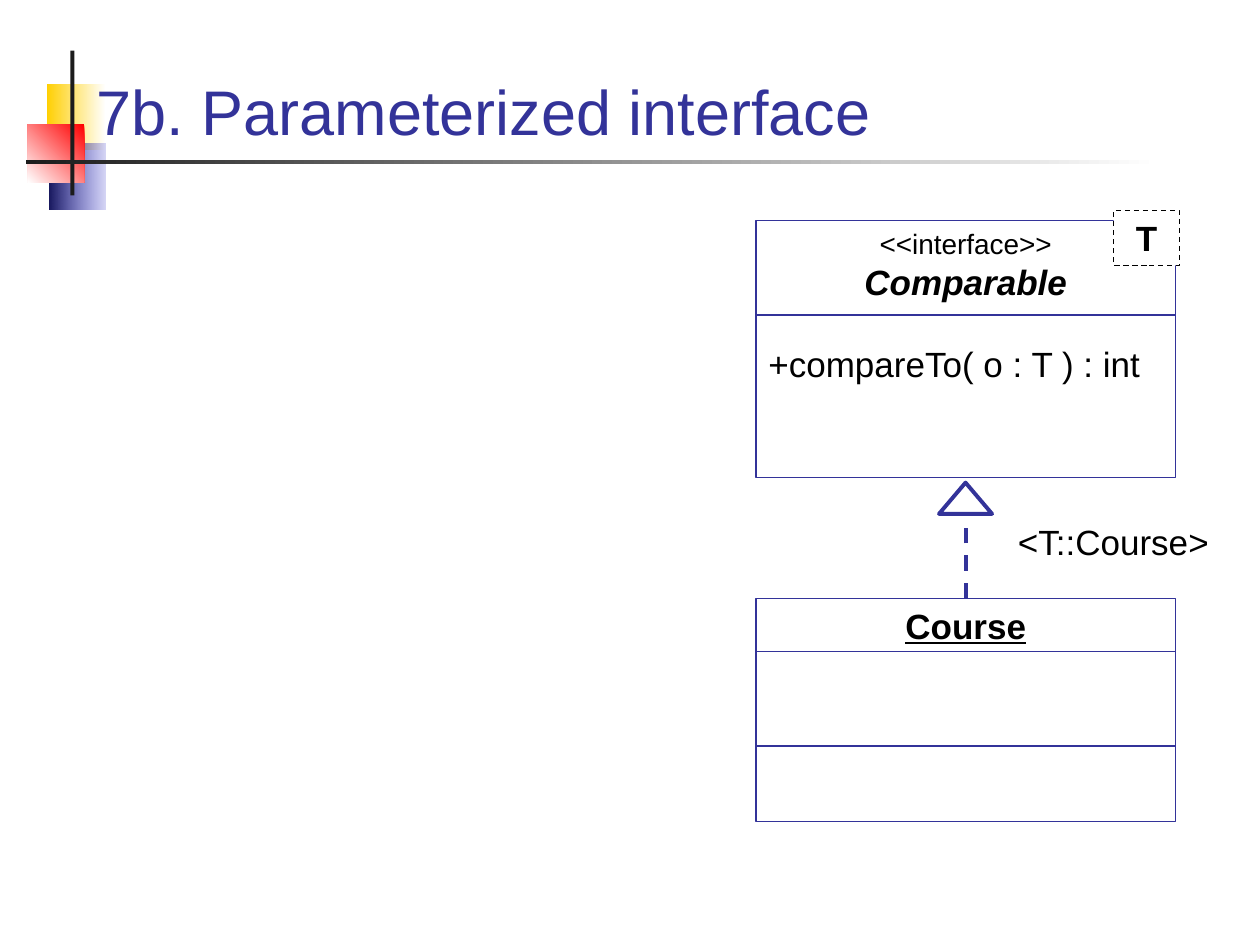
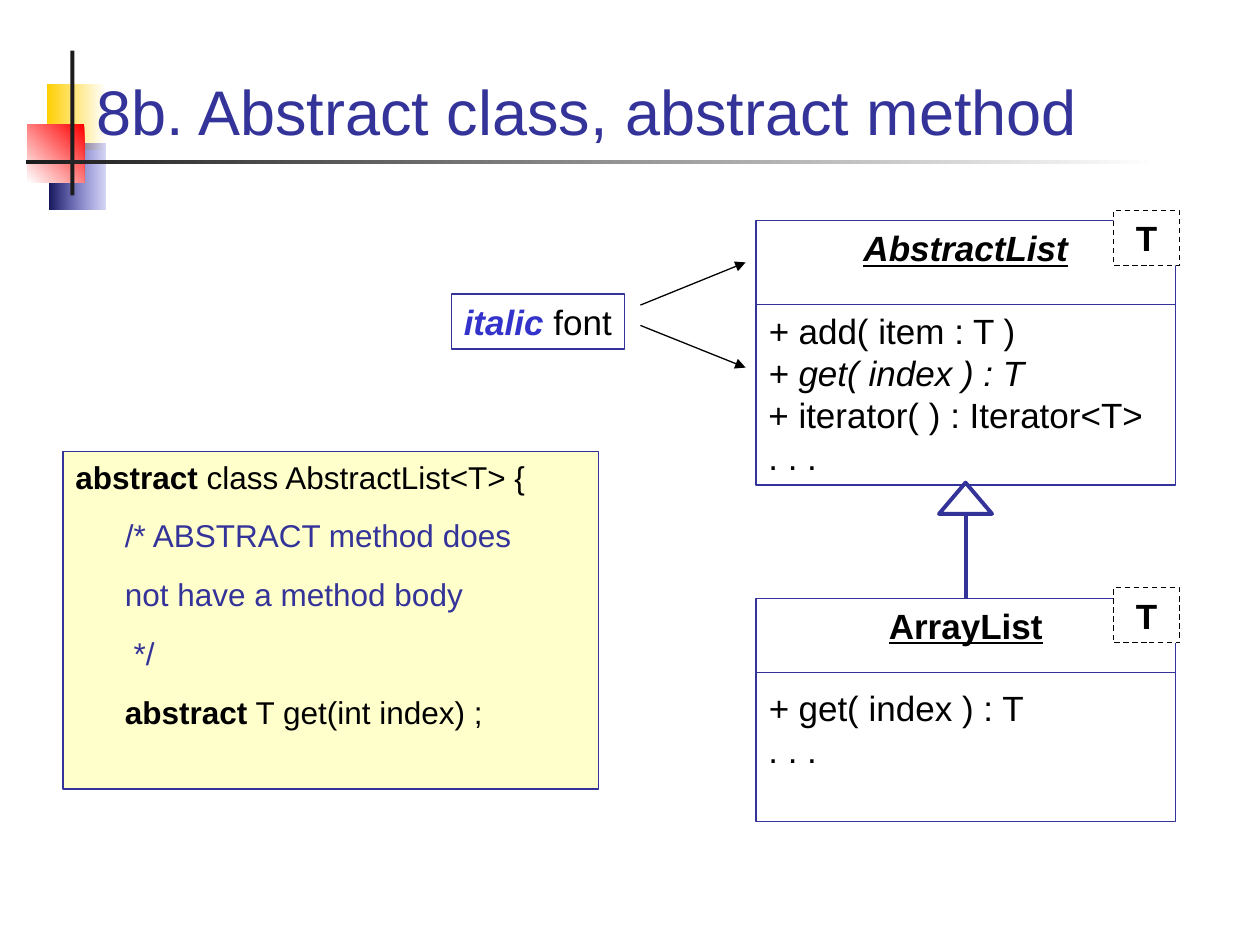
from lxml import etree
from pptx import Presentation
from pptx import util as u
from pptx.dml.color import RGBColor
from pptx.enum import dml, shapes, text
from pptx.oxml.ns import qn

Cm, Pt = u.Cm, u.Pt
COLORS = {
    "ink": "000000", "white": "FFFFFF", "indigo": "333399", "blue": "3333CC",
    "navy": "17175E", "yellow": "FFCF01", "red": "FF0000", "bar": "1C1C1C",
    "cream": "FFFFCC",
}
C = {name: RGBColor.from_string(value) for name, value in COLORS.items()}
FONT = "Arial"
CLASS_X, CLASS_W = 15.24, 8.46
PARENT_Y, CHILD_Y, CHILD_H = 4.45, 12.06, 4.5
BLANK_LINE = 23
LEFT, CENTER = text.PP_ALIGN.LEFT, text.PP_ALIGN.CENTER


def add_box(s, at, paras=(), size=20, line="indigo", fill=None, wrap=True):
    """Add a rectangle; paras holds (runs, align, space before, indent),
    each run being (text, letters out of "biu", colour)."""
    sp = s.shapes.add_shape(shapes.MSO_SHAPE.RECTANGLE, *map(Cm, at))
    sp.shadow.inherit = False
    if fill:
        sp.fill.solid()
        sp.fill.fore_color.rgb = C[fill]
    else:
        sp.fill.background()
    if line:
        sp.line.color.rgb = C[line]
        sp.line.width = Pt(0.75)
    else:
        sp.line.fill.background()
    tf = sp.text_frame
    tf.word_wrap = wrap
    tf.vertical_anchor = text.MSO_ANCHOR.TOP
    for i, (runs, align, before, indent) in enumerate(paras):
        p = tf.paragraphs[0] if i == 0 else tf.add_paragraph()
        p.alignment = align
        p.space_before = Pt(before)
        if indent:
            p._p.get_or_add_pPr().set("marL", str(Cm(indent)))
        p.font.name, p.font.size = FONT, Pt(size)
        for words, style, color in runs:
            r = p.add_run()
            r.text = words
            font = p.font if len(runs) == 1 else r.font
            font.bold, font.italic = "b" in style, "i" in style
            font.underline = "u" in style
            font.color.rgb = C[color]
    return sp


def add_line(s, x1, y1, x2, y2, color="indigo", width=0.75):
    ln = s.shapes.add_connector(shapes.MSO_CONNECTOR.STRAIGHT,
                                Cm(x1), Cm(y1), Cm(x2), Cm(y2))
    ln.line.color.rgb = C[color]
    ln.line.width = Pt(width)
    etree.SubElement(ln._element.spPr, qn("a:effectLst"))
    return ln


prs = Presentation()
prs.slide_width, prs.slide_height = Cm(25.4), Cm(19.05)
layout = prs.slide_layouts[5]

diagrams = [
    {
        "title": "7b. Parameterized interface",
        "parent_h": 5.18,
        "parent": [
            ([("<<interface>>", "", "ink")], CENTER, 0, 0),
            ([("Comparable", "bi", "ink")], CENTER, 0, 0),
            ([("+compareTo( o : T ) : int", "", "ink")], LEFT, BLANK_LINE, 0),
        ],
        "child": [([("Course", "bu", "ink")], CENTER, 0, 0)],
        "dividers": [6.35, 13.13, 15.04],
        "type_tags": [PARENT_Y],
        "dashed": True,
    },
    {
        "title": "8b. Abstract class, abstract method",
        "parent_h": 5.33,
        "parent": [
            ([("AbstractList", "biu", "ink")], CENTER, 0, 0),
            ([("+ ", "i", "ink"), ("add( item : T )", "", "ink")], LEFT, BLANK_LINE, 0),
            ([("+ get( index ) : T", "i", "ink")], LEFT, 0, 0),
            ([("+ iterator( ) : Iterator<T>", "", "ink")], LEFT, 0, 0),
            ([(". . .", "", "ink")], LEFT, 0, 0),
        ],
        "child": [
            ([("ArrayList", "bu", "ink")], CENTER, 0, 0),
            ([("+ ", "i", "ink"), ("get( index ) : T", "", "ink")], LEFT, BLANK_LINE, 0),
            ([(". . .", "", "ink")], LEFT, 0, 0),
        ],
        "dividers": [6.14, 13.55],
        "type_tags": [PARENT_Y, CHILD_Y],
        "dashed": False,
    },
]
slides = [prs.slides.add_slide(layout) for _ in diagrams]

# Corner ornament and rule, moved onto the shared layout
ornament = [
    ((0.94, 1.7, 1.19, 1.32), "white", "yellow", 180),
    ((0.99, 2.9, 1.14, 1.32), "blue", "navy", 180),
    ((0.56, 2.51, 1.14, 1.17), "red", "white", 225),
    ((1.42, 1.02, 0.08, 2.92), "bar", None, None),
    ((0.53, 3.23, 22.83, 0.08), "white", "bar", 180),
]
for at, start, end, angle in ornament:
    sp = add_box(slides[0], at, line=None, fill=start)
    if end:
        sp.fill.gradient()
        sp.fill.gradient_angle = angle
        for stop, color, place in zip(sp.fill.gradient_stops, (start, end), (0, 1)):
            stop.color.rgb = C[color]
            stop.position = place
    if start == "blue":
        tint = next(sp.element.iter(qn("a:srgbClr")))
        etree.SubElement(tint, qn("a:alpha")).set("val", "20000")
    layout.shapes.element.append(sp.element)

# Title and class diagram of each slide
for s, d in zip(slides, diagrams):
    title = s.shapes.title
    title.left, title.top, title.width, title.height = map(Cm, (1.7, 0.71, 22, 2.41))
    tf = title.text_frame
    tf.text = d["title"]
    tf.word_wrap = True
    tf.auto_size = text.MSO_AUTO_SIZE.NONE
    tf.vertical_anchor = text.MSO_ANCHOR.BOTTOM
    p = tf.paragraphs[0]
    p.alignment = LEFT
    p.font.name, p.font.size = FONT, Pt(36)
    p.font.color.rgb = C["indigo"]

    parent = add_box(s, (CLASS_X, PARENT_Y, CLASS_W, d["parent_h"]), d["parent"])
    if d["dashed"]:
        parent.text_frame.paragraphs[0].font.size = Pt(16)
    child = add_box(s, (CLASS_X, CHILD_Y, CLASS_W, CHILD_H), d["child"])
    for y in d["dividers"]:
        add_line(s, CLASS_X, y, CLASS_X + CLASS_W, y)

    middle = CLASS_X + CLASS_W / 2
    stem = add_line(s, middle, CHILD_Y, middle, 10.36, width=2.25)
    stem.begin_connect(child, 0)
    if d["dashed"]:
        stem.line.dash_style = dml.MSO_LINE.DASH
    head = s.shapes.add_shape(shapes.MSO_SHAPE.ISOSCELES_TRIANGLE, Cm(middle - 0.54),
                              Cm(9.73), Cm(1.07), Cm(0.63))
    head.shadow.inherit = False
    head.fill.background()
    head.line.color.rgb = C["indigo"]
    head.line.width = Pt(2.25)

    for y in d["type_tags"]:
        tag = add_box(s, (22.45, y - 0.21, 1.33, 1.11),
                      [([("T", "b", "ink")], CENTER, 0, 0)], line="ink", fill="white")
        tag.line.dash_style = dml.MSO_LINE.DASH

interface_slide, abstract_slide = slides

add_box(interface_slide, (20.27, 10.36, 4.42, 1.11),
        [([("<T::Course>", "", "ink")], LEFT, 0, 0)], line=None, wrap=False)

# Notes on the abstract class
for y1, y2 in ((6.56, 7.41), (6.15, 5.29)):
    arrow = add_line(abstract_slide, 12.91, y1, 15.03, y2, "ink")
    etree.SubElement(arrow.line._get_or_add_ln(), qn("a:tailEnd")).set("type", "triangle")
add_box(abstract_slide, (9.1, 5.93, 3.49, 1.11),
        [([("italic ", "bi", "blue"), ("font", "", "ink")], LEFT, 0, 0)], wrap=False)

code = [
    ([("abstract", "b", "ink"), (" class AbstractList<T> {", "", "ink")], LEFT, 0, 0),
    ([("/* ABSTRACT method does", "", "indigo")], LEFT, 12, 1),
    ([("not have a method body", "", "indigo")], LEFT, 12, 1),
    ([(" */", "", "indigo")], LEFT, 12, 1),
    ([("abstract", "b", "ink"), (" T get(int index) ;", "", "ink")], LEFT, 12, 1),
]
add_box(abstract_slide, (1.27, 9.1, 10.8, 6.81), code, size=18, fill="cream")

prs.save("out.pptx")
